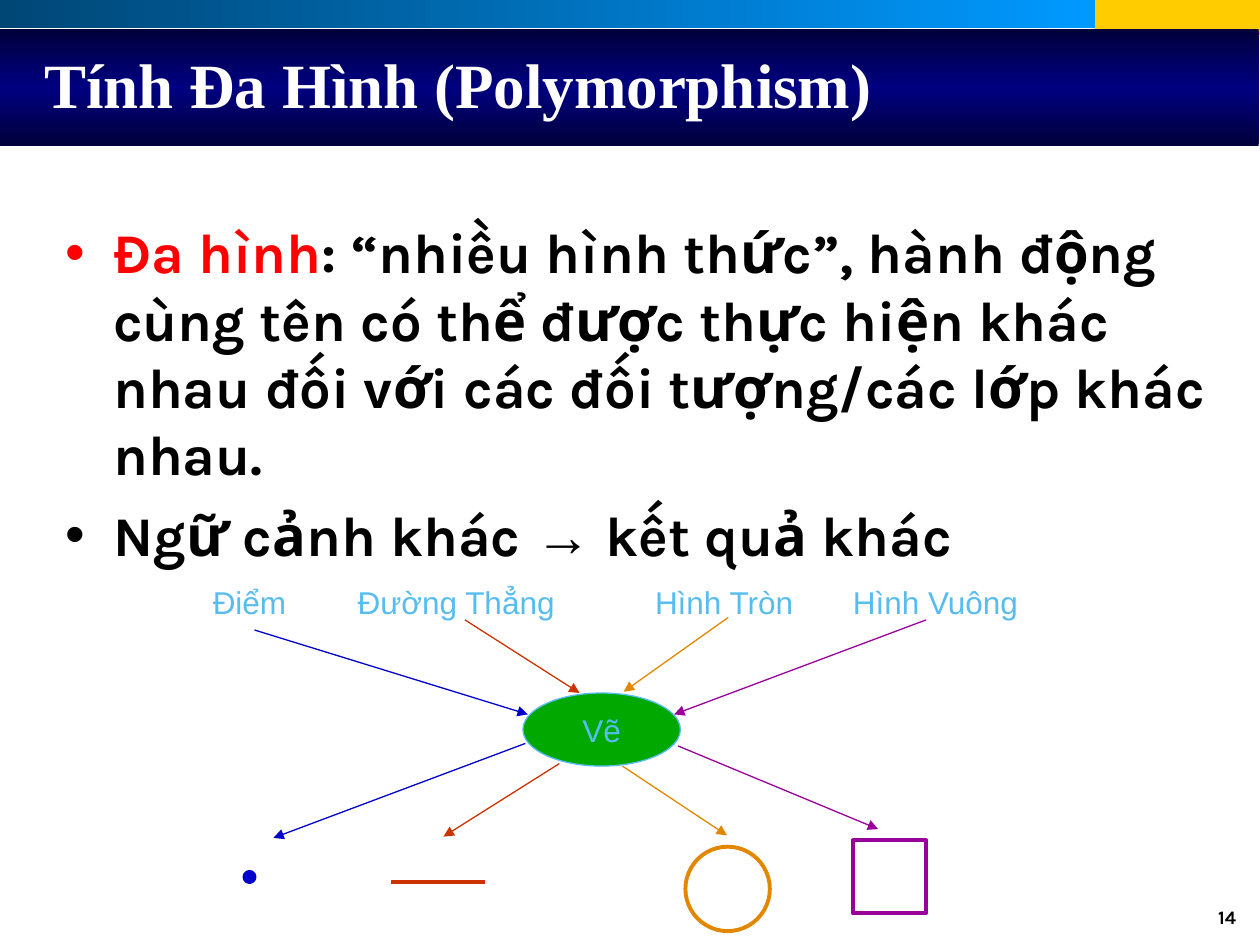
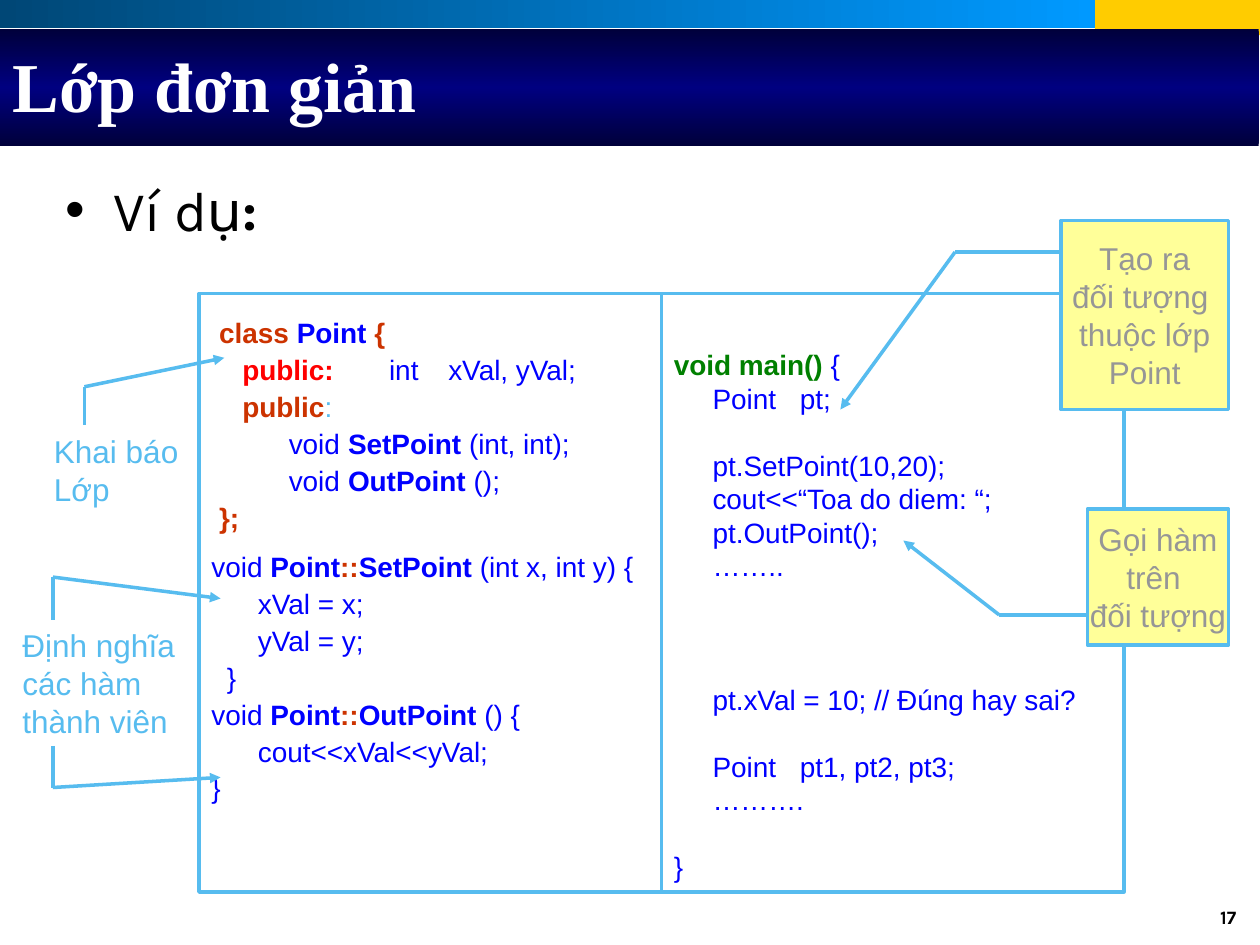
import copy
import dataclasses
import itertools

import lxml.etree
import pptx
import pptx.dml.color
import pptx.enum.shapes
import pptx.enum.text
import pptx.oxml.ns
import pptx.util

PX = 9144
KIND = pptx.enum.shapes.MSO_SHAPE
ALIGN = pptx.enum.text.PP_ALIGN
ANCHOR = pptx.enum.text.MSO_ANCHOR


@dataclasses.dataclass(frozen=True)
class Theme:
    white: str = "FFFFFF"
    black: str = "000000"
    gold: str = "FFCC00"
    strip: tuple = ("004776", "0099FF")
    band: tuple = ("00003B", "000080", "00003B")
    sky: str = "57BCEF"
    red: str = "FF0000"
    blue: str = "0000FF"
    navy: str = "0000CC"
    rust: str = "CC3300"
    amber: str = "E28700"
    plum: str = "990099"
    green: str = "00A800"
    leaf: str = "008000"
    cream: str = "FFFF99"
    grey: str = "969696"
    sans: str = "Arial"
    body: str = "Karla"
    serif: str = "Times New Roman"
    large: int = 32
    label: int = 18
    code: int = 16
    page: float = 10.8
    thin: float = 0.75
    line: float = 2
    thick: float = 2.25


T = Theme()


def px(*nums):
    return [pptx.util.Emu(n * PX) for n in nums]


def rgb(tone):
    return pptx.dml.color.RGBColor.from_string(tone)


def child(node, tag, **attrs):
    return lxml.etree.SubElement(node, pptx.oxml.ns.qn(tag), attrs)


def bullet(para, tone):
    props = para._p.get_or_add_pPr()
    props.set("marL", str(38 * PX))
    props.set("indent", str(-38 * PX))
    child(child(props, "a:buClr"), "a:srgbClr", val=tone)
    child(props, "a:buFont", typeface=T.sans)
    child(props, "a:buChar", char="•")


def write(frame, lines, size, face=T.sans, align=ALIGN.LEFT, space=1.0,
          gaps=None, tabs=(), dots=False, top=5, wrap=True, anchor=ANCHOR.TOP):
    frame.word_wrap = wrap
    frame.auto_size = pptx.enum.text.MSO_AUTO_SIZE.NONE
    frame.vertical_anchor = anchor
    frame.margin_left, frame.margin_right = px(10, 10)
    frame.margin_top, frame.margin_bottom = px(top, 5)
    for row, runs in enumerate(lines):
        para = frame.add_paragraph() if row else frame.paragraphs[0]
        if dots:
            bullet(para, runs[0][1])
        if tabs:
            stops = child(para._p.get_or_add_pPr(), "a:tabLst")
            for stop in tabs:
                child(stops, "a:tab", pos=str(stop * PX), algn="l")
        para.alignment = align
        para.line_spacing = space
        if gaps and row in gaps:
            para.space_before = pptx.util.Pt(gaps[row])
        for text, tone, bold, *other in runs:
            run = para.add_run()
            run.text = text
            run.font.name = other[0] if other else face
            run.font.size = pptx.util.Pt(size)
            run.font.bold = bold
            run.font.color.rgb = rgb(tone)


def shape(slide, kind, box, fill=None, edge=None, width=T.line):
    item = slide.shapes.add_shape(kind, *px(*box))
    item.shadow.inherit = False
    if fill:
        item.fill.solid()
        item.fill.fore_color.rgb = rgb(fill)
    else:
        item.fill.background()
    if edge:
        item.line.color.rgb = rgb(edge)
        item.line.width = pptx.util.Pt(width)
    else:
        item.line.fill.background()
    return item


def blend(item, tones, angle):
    item.fill.gradient()
    item.fill.gradient_angle = angle
    stops = item._element.spPr.find(".//" + pptx.oxml.ns.qn("a:gsLst"))
    while len(stops) < len(tones):
        stops.append(copy.deepcopy(stops[-1]))
    for num, (stop, tone) in enumerate(zip(item.fill.gradient_stops, tones)):
        stop.position = num / (len(tones) - 1)
        stop.color.rgb = rgb(tone)


def route(slide, points, tone=T.sky, width=T.line, arrow=True):
    for start, end in itertools.pairwise(points):
        item = slide.shapes.add_connector(
            pptx.enum.shapes.MSO_CONNECTOR.STRAIGHT, *px(*start, *end))
        item.line.color.rgb = rgb(tone)
        item.line.width = pptx.util.Pt(width)
        if arrow and end == points[-1]:
            child(item.line._get_or_add_ln(), "a:tailEnd", type="triangle")
        child(item._element.spPr, "a:effectLst")


def text(slide, box, lines, size, **style):
    item = slide.shapes.add_textbox(*px(*box))
    write(item.text_frame, lines, size, **style)


def plain(tone, *rows):
    return [[(row, tone, False)] for row in rows]


def bands(slide):
    gold = shape(slide, KIND.RECTANGLE, (869, 0, 131, 28), T.gold)
    strip = shape(slide, KIND.RECTANGLE, (0, 0, 869, 22))
    blend(strip, T.strip, 0)
    band = shape(slide, KIND.RECTANGLE, (0, 23, 999, 93))
    blend(band, T.band, 90)
    tree = slide.slide_layout.shapes._spTree
    for num, item in enumerate((gold, strip, band), 20):
        item._element.nvSpPr.cNvPr.set("id", str(num))
        tree.append(item._element)


def start(deck, title, box, size, page):
    slide = deck.slides.add_slide(deck.slide_layouts[5])
    head = slide.shapes.title
    head.left, head.top, head.width, head.height = px(*box)
    write(head.text_frame, [[(title, T.white, True)]], size, T.serif,
          anchor=ANCHOR.MIDDLE)
    text(slide, (758, 717, 233, 32), [[(page, T.black, True)]], T.page,
         face=T.body, align=ALIGN.RIGHT, space=0.8)
    return slide


def poly(deck):
    slide = start(deck, "Tính Đa Hình (Polymorphism)", (25, 25, 900, 83), 36, "14")
    bands(slide)
    text(slide, (42, 167, 925, 425), [
        [("Đa hình", T.red, True),
         (": “nhiều hình thức”, hành động cùng tên có thể được thực hiện khác "
          "nhau đối với các đối tượng/các lớp khác nhau.", T.black, True)],
        [("Ngữ cảnh khác ", T.black, True), ("→", T.black, True, T.sans),
         (" kết quả khác", T.black, True)],
    ], T.large, face=T.body, dots=True, top=6, gaps={1: 8})

    for name, left, width in (("Điểm", 159, 78), ("Đường Thẳng", 274, 177),
                              ("Hình Tròn", 510, 131), ("Hình Vuông", 667, 152)):
        text(slide, (left, 458, width, 40), plain(T.sky, name), T.label, wrap=False)

    draw = shape(slide, KIND.OVAL, (415, 550, 125, 58), T.green, T.sky, T.thin)
    write(draw.text_frame, plain(T.sky, "Vẽ"), T.label, align=ALIGN.CENTER,
          wrap=False, anchor=ANCHOR.MIDDLE)

    for tone, *ends in (
            (T.navy, (202, 500), (419, 567), (417, 590), (217, 665)),
            (T.rust, (369, 492), (460, 550), (444, 606), (352, 664)),
            (T.amber, (578, 490), (495, 549), (494, 608), (577, 663)),
            (T.plum, (735, 492), (535, 567), (538, 592), (697, 658))):
        route(slide, ends[:2], tone, T.thin)
        route(slide, ends[2:], tone, T.thin)

    shape(slide, KIND.OVAL, (194, 692, 8, 8), T.navy, T.navy, T.thick)
    route(slide, [(310, 700), (385, 700)], T.rust, T.thick, False)
    shape(slide, KIND.OVAL, (544, 672, 67, 67), None, T.amber, T.thick)
    shape(slide, KIND.RECTANGLE, (677, 667, 58, 58), None, T.plum, T.thick)


def method(name, args):
    return [("void ", T.blue, False), ("Point", T.blue, True), ("::", T.rust, True),
            (name, T.blue, True), (args, T.blue, False)]


def member(name, args):
    return [("          void ", T.blue, False), (name, T.blue, True),
            (args, T.blue, False)]


def panel(slide, left, lines, **style):
    item = shape(slide, KIND.RECTANGLE, (left, 233, 367, 475), T.white, T.sky)
    write(item.text_frame, lines, T.code, **style)


def note(slide, box, *rows):
    item = shape(slide, KIND.RECTANGLE, box, T.cream, T.sky)
    write(item.text_frame, plain(T.grey, *rows), T.label, align=ALIGN.CENTER,
          wrap=False, anchor=ANCHOR.MIDDLE)


def simple(deck):
    slide = start(deck, "Lớp đơn giản", (0, 17, 950, 100), 40, "17")
    text(slide, (42, 133, 202, 76),
         [[("Ví dụ", T.black, False), (":", T.black, True)]],
         T.large, face=T.body, dots=True, top=6)

    panel(slide, 158, [
        [(" class ", T.rust, True), ("Point ", T.blue, True), ("{", T.rust, True)],
        [("    public:", T.red, True), ("\tint\txVal, yVal;", T.blue, False)],
        [("    public", T.rust, True), (":", T.sky, False)],
        member("SetPoint", " (int, int);"),
        member("OutPoint", " ();"),
        [(" };", T.rust, True)],
        method("SetPoint", " (int x, int y) {"),
        *plain(T.blue, "      xVal = x;", "      yVal = y;", "  }"),
        method("OutPoint", " () {"),
        *plain(T.blue, "      cout<<xVal<<yVal;", "}"),
    ], space=1.1, top=15, gaps={6: 7}, tabs=(141, 188))

    panel(slide, 525, [
        [("void main() ", T.leaf, True), ("{", T.blue, False)],
        *plain(T.blue, "     Point\tpt;", "     pt.SetPoint(10,20);",
               "     cout<<“Toa do diem: “;", "     pt.OutPoint();", "     ……..",
               "     pt.xVal = 10; // Đúng hay sai?", "     Point\tpt1, pt2, pt3;",
               "     ……….", "}"),
    ], top=43, gaps={2: 19, 6: 57, 7: 19, 9: 19}, tabs=(100,))

    route(slide, [(863, 488), (793, 488), (717, 429)])
    note(slide, (863, 404, 112, 108), "Gọi hàm", "trên ", "đối tượng")
    note(slide, (842, 175, 133, 150), "Tạo ra", "đối tượng ", "thuộc lớp", "Point")
    route(slide, [(842, 200), (758, 200), (667, 325)])

    text(slide, (33, 338, 125, 70), plain(T.sky, "Khai báo", "Lớp"), T.label,
         wrap=False)
    route(slide, [(67, 337), (67, 307), (178, 284)])
    text(slide, (8, 492, 141, 100),
         plain(T.sky, "Định nghĩa", "các hàm", "thành viên"), T.label, wrap=False)
    route(slide, [(42, 492), (42, 458), (175, 475)])
    route(slide, [(42, 592), (42, 625), (175, 617)])


def main():
    deck = pptx.Presentation()
    deck.slide_width, deck.slide_height = px(1000, 750)
    poly(deck)
    simple(deck)
    deck.save("out.pptx")


if __name__ == "__main__":
    main()
